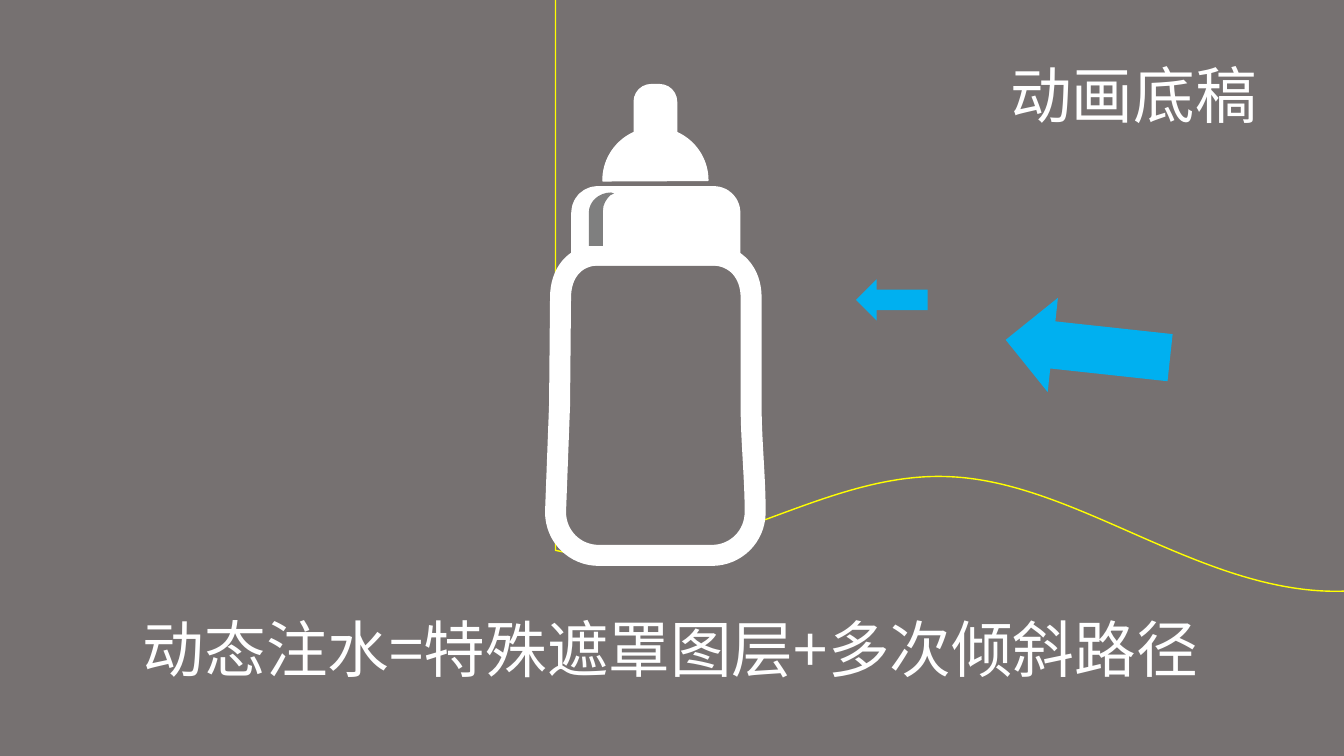
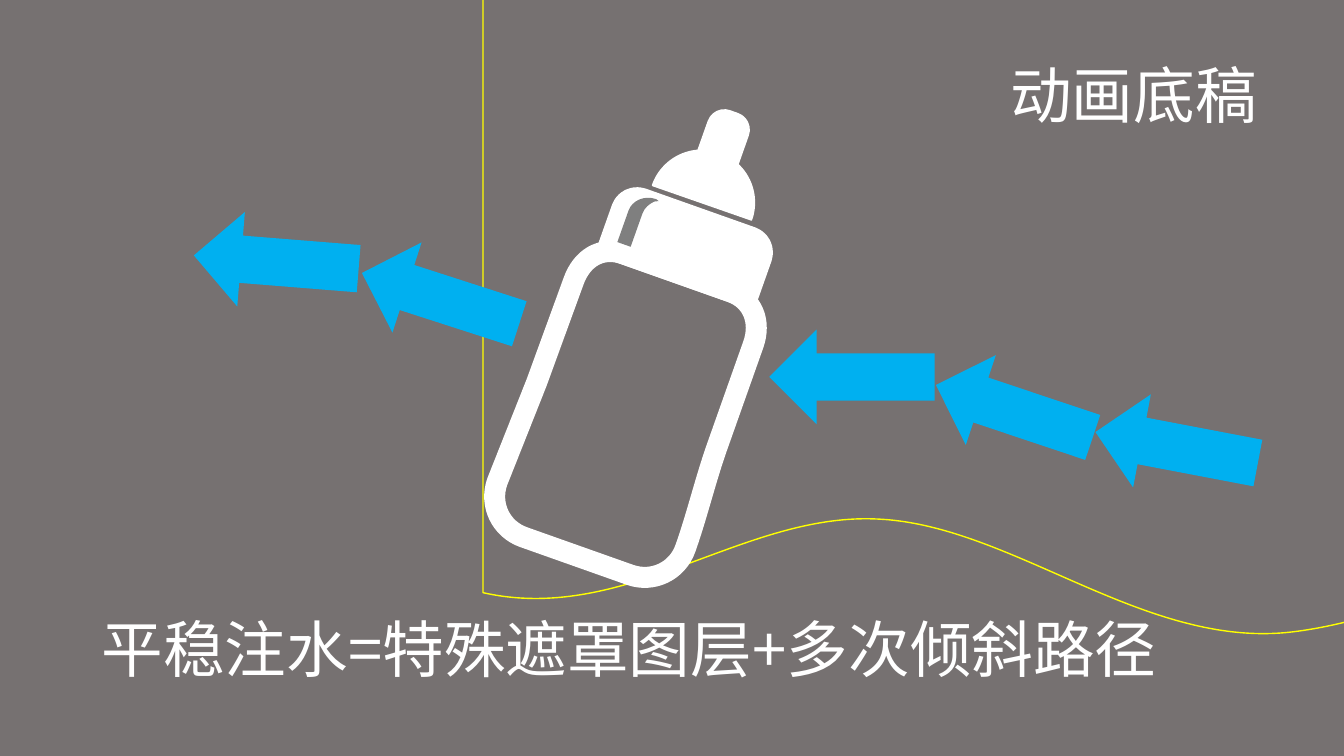
import dataclasses
import itertools
import typing

import lxml.etree
import pptx
import pptx.dml.color
import pptx.enum.shapes
import pptx.enum.text
import pptx.oxml.ns
import pptx.util

Inches = pptx.util.Inches
RGBColor = pptx.dml.color.RGBColor
SHAPE = pptx.enum.shapes.MSO_SHAPE
qn = pptx.oxml.ns.qn

GRAY = RGBColor(0x76, 0x71, 0x71)
SHINE = RGBColor(0x7F, 0x7F, 0x7F)
WHITE = RGBColor(0xFF, 0xFF, 0xFF)
BLUE = RGBColor(0x00, 0xB0, 0xF0)
YELLOW = RGBColor(0xFF, 0xFF, 0x00)
FONT = "Noto Sans CJK SC"
SLIDE_W, SLIDE_H = 13.33, 7.5
THICK, THIN = 15, 1

Point = tuple[float, float]
# One point is a straight segment, three points are a cubic curve
Segment = tuple[Point, ...]


@dataclasses.dataclass(frozen=True)
class Arrow:
    left: float
    top: float
    rotation: float = 0
    width: float = 1.64
    height: float = 0.94


@dataclasses.dataclass(frozen=True)
class Part:
    """A preset shape of the bottle."""
    kind: SHAPE
    box: tuple[float, float, float, float]
    adjustments: tuple[float, float]
    line_width: float
    rotation: float = 0


@dataclasses.dataclass(frozen=True)
class Scene:
    caption: str
    caption_left: float
    wave_shift: Point
    bottle_drop: float
    bottle_rotation: float
    arrows: tuple[Arrow, ...]


BODY: tuple[Segment, ...] = (
    ((5.56, 2.95),),
    ((5.56, 2.71), (5.7, 2.53), (5.94, 2.53)),
    ((7.06, 2.53),),
    ((7.3, 2.53), (7.45, 2.71), (7.45, 2.95)),
    ((7.45, 3.31), (7.45, 3.66), (7.45, 4.02)),
    ((7.45, 4.37), (7.49, 4.73), (7.49, 5.08)),
    ((7.49, 5.32), (7.3, 5.51), (7.06, 5.51)),
    ((5.94, 5.51),),
    ((5.7, 5.51), (5.51, 5.32), (5.51, 5.08)),
    ((5.55, 4.02),),
    ((5.56, 2.95),),
)
HIGHLIGHT: tuple[Segment, ...] = (
    ((6.06, 1.91),),
    ((6.09, 1.92),),
    ((6.05, 1.94),),
    ((6.01, 1.98), (5.98, 2.03), (5.98, 2.09)),
    ((5.98, 2.44),),
    ((5.84, 2.44),),
    ((5.84, 2.11),),
    ((5.84, 2), (5.94, 1.91), (6.06, 1.91)),
)
# Mask whose lower edge is the water line
WAVE: tuple[Segment, ...] = (
    ((5.51, -5.29),),
    ((43.7, -5.29),),
    ((43.7, -3.45),),
    ((43.7, -1.32), (43.7, 0.81), (43.7, 2.94)),
    ((42.47, 2.9), (41.2, 5.33), (39.88, 5.46)),
    ((38.44, 5.57), (37, 3.99), (35.56, 4.09)),
    ((34.13, 4.18), (32.79, 5.68), (31.27, 5.68)),
    ((29.95, 5.68), (28.93, 4.21), (27.03, 4.36)),
    ((25.61, 4.28), (24, 5.54), (22.31, 5.68)),
    ((20.87, 5.93), (19.48, 4.55), (18.02, 4.58)),
    ((16.56, 4.61), (14.98, 5.68), (13.53, 5.85)),
    ((12.07, 6.02), (10.76, 4.79), (9.43, 4.73)),
    ((8.09, 4.66), (6.93, 5.78), (5.51, 5.46)),
    ((5.51, -5.29),),
)
CAP = Part(SHAPE.ROUND_2_SAME_RECTANGLE, (5.77, 1.95, 1.47, 0.58), (0.275, 0), THICK)
TEAT = (
    Part(SHAPE.CHORD, (5.98, 1.27, 1.04, 1.04), (53.69, 162), THIN, 90),
    Part(SHAPE.ROUND_2_SAME_RECTANGLE, (6.29, 0.84, 0.42, 0.6), (0.402, 0), THIN),
)

SCENES = (
    Scene("动态注水=特殊遮罩图层+多次倾斜路径", 1.32, (0, 0), 0, 0,
          (Arrow(9.97, 2.99, 6.2), Arrow(8.49, 2.77, 0, 0.71, 0.41))),
    Scene("平稳注水=特殊遮罩图层+多次倾斜路径", 0.91, (-0.72, 0.42), 0.14, 19.5,
          (Arrow(10.85, 3.97, 10.8), Arrow(9.24, 3.61, 18.5), Arrow(7.63, 3.27),
           Arrow(3.55, 2.49, 17.9), Arrow(1.92, 2.13, 4.6))),
)


def style(sp: typing.Any, fill: RGBColor, line: RGBColor | None = None,
          line_width: float = THIN) -> None:
    sp.shadow.inherit = False
    sp.fill.solid()
    sp.fill.fore_color.rgb = fill
    if line is None:
        sp.line.fill.background()
    else:
        sp.line.color.rgb = line
        sp.line.width = pptx.util.Pt(line_width)


def add_outline(shapes: typing.Any, segments: tuple[Segment, ...], shift: Point = (0, 0),
                **look: typing.Any) -> None:
    """Draw a closed outline of straight and curved segments."""
    dx, dy = shift
    points = [(Inches(x + dx), Inches(y + dy))
              for x, y in itertools.chain.from_iterable(segments)]
    builder = shapes.build_freeform(*points[0])
    builder.add_line_segments(points[1:], close=True)
    sp = builder.convert_to_shape()
    # Join each three points of a curved segment into one Bézier curve
    outline = sp._element.find(".//" + qn("a:path"))
    nodes = iter(outline.findall(qn("a:lnTo")))
    for segment in segments[1:]:
        steps = list(itertools.islice(nodes, len(segment)))
        if len(steps) == 3:
            curve = lxml.etree.Element(qn("a:cubicBezTo"))
            steps[0].addprevious(curve)
            for step in steps:
                curve.append(step[0])
                outline.remove(step)
    style(sp, **look)


def add_part(shapes: typing.Any, part: Part) -> None:
    sp = shapes.add_shape(part.kind, *map(Inches, part.box))
    for i, value in enumerate(part.adjustments):
        sp.adjustments[i] = value
    sp.rotation = part.rotation
    style(sp, WHITE, WHITE, part.line_width)


def add_bottle(slide: typing.Any, drop: float, rotation: float) -> None:
    group = slide.shapes.add_group_shape()
    add_outline(group.shapes, BODY, fill=GRAY, line=WHITE, line_width=THICK)
    add_part(group.shapes, CAP)
    add_outline(group.shapes, HIGHLIGHT, fill=SHINE)
    for part in TEAT:
        add_part(group.shapes, part)
    group.top += Inches(drop)
    group.rotation = rotation


def add_arrow(slide: typing.Any, arrow: Arrow) -> None:
    box = (arrow.left, arrow.top, arrow.width, arrow.height)
    sp = slide.shapes.add_shape(SHAPE.LEFT_ARROW, *map(Inches, box))
    sp.rotation = arrow.rotation
    style(sp, BLUE)


def write(sp: typing.Any, text: str, *, size: float = 44, color: RGBColor = WHITE,
          font: str = FONT, wrap: bool = True) -> None:
    tf = sp.text_frame
    tf.word_wrap = wrap
    tf.auto_size = pptx.enum.text.MSO_AUTO_SIZE.NONE
    tf.vertical_anchor = pptx.enum.text.MSO_ANCHOR.TOP
    p = tf.paragraphs[0]
    p.alignment = pptx.enum.text.PP_ALIGN.LEFT
    r = p.add_run()
    r.text = text
    r.font.size = pptx.util.Pt(size)
    r.font.color.rgb = color
    r.font.name = font
    # East Asian typeface
    ea = lxml.etree.SubElement(r.font._element, qn("a:ea"))
    ea.set("typeface", font)


def add_scene(prs: typing.Any, scene: Scene) -> None:
    slide = prs.slides.add_slide(prs.slide_layouts[5])
    # Title
    title = slide.shapes.title
    title.left, title.top = Inches(9.92), Inches(0.51)
    title.width, title.height = Inches(2.67), Inches(0.84)
    write(title, "动画底稿", wrap=False)
    # Drawing
    add_outline(slide.shapes, WAVE, scene.wave_shift, fill=GRAY, line=YELLOW)
    add_bottle(slide, scene.bottle_drop, scene.bottle_rotation)
    # Keep the title above the mask
    slide.shapes._spTree.append(title._element)
    # Caption
    box = (scene.caption_left, 6.01, 10.9, 0.84)
    write(slide.shapes.add_textbox(*map(Inches, box)), scene.caption)
    # Motion paths
    for arrow in scene.arrows:
        add_arrow(slide, arrow)


def main() -> None:
    prs = pptx.Presentation()
    prs.slide_width, prs.slide_height = Inches(SLIDE_W), Inches(SLIDE_H)
    # Shared background
    background = prs.slide_master.background.fill
    background.solid()
    background.fore_color.rgb = GRAY
    for scene in SCENES:
        add_scene(prs, scene)
    prs.save("out.pptx")


if __name__ == "__main__":
    main()
